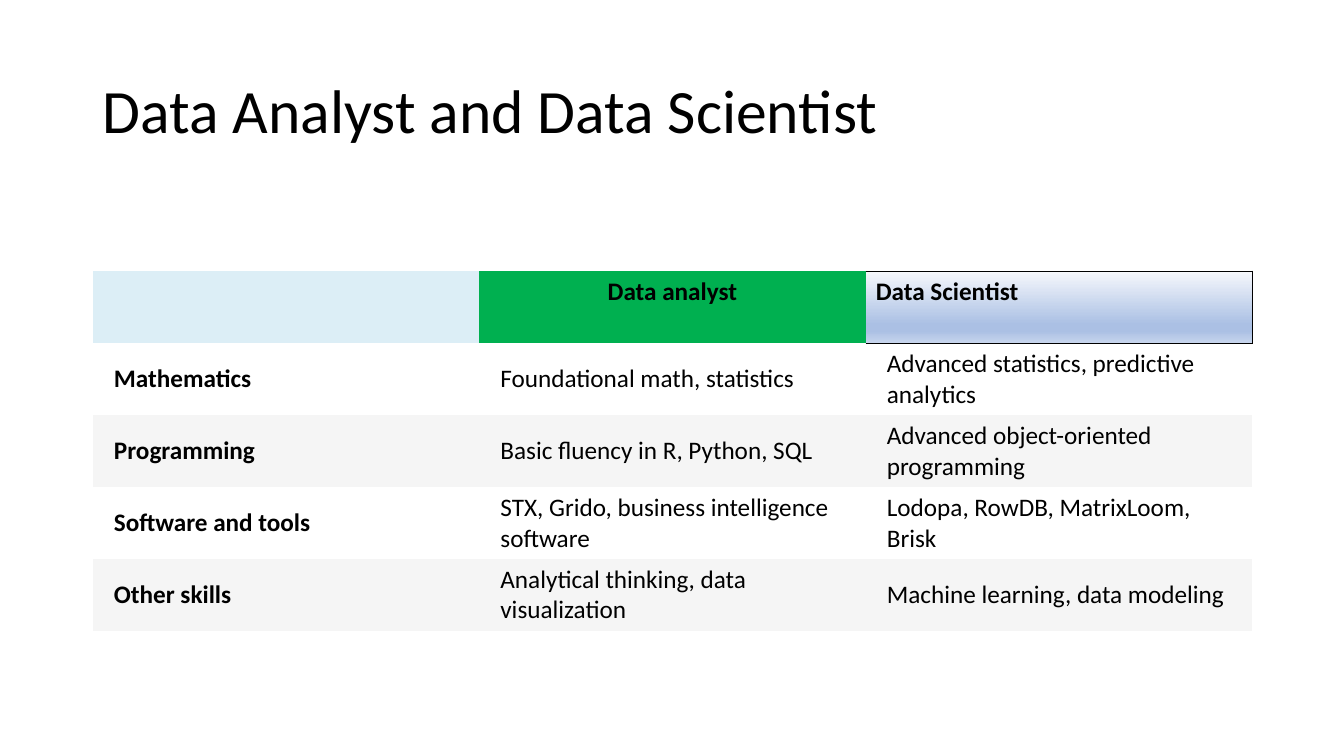
import pptx
import pptx.dml.color
import pptx.enum.text
import pptx.oxml
import pptx.oxml.ns
import pptx.util

RGB = pptx.dml.color.RGBColor
ALIGN = pptx.enum.text.PP_ALIGN
ANCHOR = pptx.enum.text.MSO_ANCHOR
QN = pptx.oxml.ns.qn
NS = pptx.oxml.ns.nsdecls("a")

BLACK = RGB(0x00, 0x00, 0x00)
ICE = RGB(0xDC, 0xEE, 0xF6)
GREEN = RGB(0x00, 0xB0, 0x50)
GREY = RGB(0xF5, 0xF5, 0xF5)
STOPS = [
    (0, RGB(0xF6, 0xF8, 0xFC)),
    (74, RGB(0xAB, 0xC0, 0xE4)),
    (83, RGB(0xAB, 0xC0, 0xE4)),
    (100, RGB(0xC7, 0xD5, 0xED)),
]
PLAIN = "{2D5ABB26-0587-4C30-8999-92F81FD0307C}"

WIDE = pptx.util.Inches(13.33)
HIGH = pptx.util.Inches(7.5)
PAD = pptx.util.Inches(0.21)

HEAD = ["", "Data analyst", "Data Scientist"]
SKILLS = [
    ["Mathematics", "Foundational math, statistics",
     "Advanced statistics, predictive analytics"],
    ["Programming", "Basic fluency in R, Python, SQL",
     "Advanced object-oriented programming"],
    ["Software and tools", "STX, Grido, business intelligence software",
     "Lodopa, RowDB, MatrixLoom, Brisk"],
    ["Other skills", "Analytical thinking, data visualization",
     "Machine learning, data modeling"],
]


def share(x, y, w, h):
    return [round(WIDE * x), round(HIGH * y), round(WIDE * w), round(HIGH * h)]


def write(frame, text, size=18, bold=False, align=ALIGN.LEFT, space=1.0):
    frame.word_wrap = True
    para = frame.paragraphs[0]
    para.alignment = align
    para.line_spacing = space
    run = para.add_run()
    run.text = text
    font = run.font
    font.name = "Calibri"
    font.size = pptx.util.Pt(size)
    font.bold = bold
    font.color.rgb = BLACK


def paint(cell, color):
    if color is None:
        cell.fill.background()
    else:
        cell.fill.solid()
        cell.fill.fore_color.rgb = color


def shade(cell):
    props = cell._tc.get_or_add_tcPr()
    for side in "RTB":
        props.append(pptx.oxml.parse_xml(
            f'<a:ln{side} {NS} w="9525"><a:solidFill><a:srgbClr val="{BLACK}"/>'
            f'</a:solidFill></a:ln{side}>'))
    stops = "".join(
        f'<a:gs pos="{pos * 1000}"><a:srgbClr val="{color}"/></a:gs>'
        for pos, color in STOPS)
    props.append(pptx.oxml.parse_xml(
        f'<a:gradFill {NS}><a:gsLst>{stops}</a:gsLst>'
        f'<a:lin ang="5400000" scaled="0"/></a:gradFill>'))


def title(slide, box):
    frame = slide.shapes.add_textbox(*box).text_frame
    frame.vertical_anchor = ANCHOR.MIDDLE
    write(frame, "Data Analyst and Data Scientist", size=44, space=0.9)


def header(table):
    blank, middle, last = table.rows[0].cells
    paint(blank, ICE)
    paint(middle, GREEN)
    shade(last)
    write(middle.text_frame, HEAD[1], bold=True, align=ALIGN.CENTER)
    write(last.text_frame, HEAD[2], bold=True)


def body(table):
    for row, words in enumerate(SKILLS, 1):
        for col, text in enumerate(words):
            cell = table.cell(row, col)
            cell.vertical_anchor = ANCHOR.MIDDLE
            cell.margin_left = cell.margin_right = PAD
            paint(cell, None if row % 2 else GREY)
            write(cell.text_frame, text, bold=col == 0)


def skills(slide, box):
    rows, cols = len(SKILLS) + 1, len(HEAD)
    table = slide.shapes.add_table(rows, cols, *box).table
    table.first_row = table.horz_banding = False
    table._tbl.tblPr.find(QN("a:tableStyleId")).text = PLAIN
    header(table)
    body(table)


def main():
    deck = pptx.Presentation()
    deck.slide_width, deck.slide_height = WIDE, HIGH
    slide = deck.slides.add_slide(deck.slide_layouts[6])
    left, width = 0.92 / 13.33, 11.5 / 13.33
    title(slide, share(left, 0.4 / 7.5, width, 1.45 / 7.5))
    skills(slide, share(left, 2.69 / 7.5, width, 3.57 / 7.5))
    deck.save("out.pptx")


if __name__ == "__main__":
    main()
